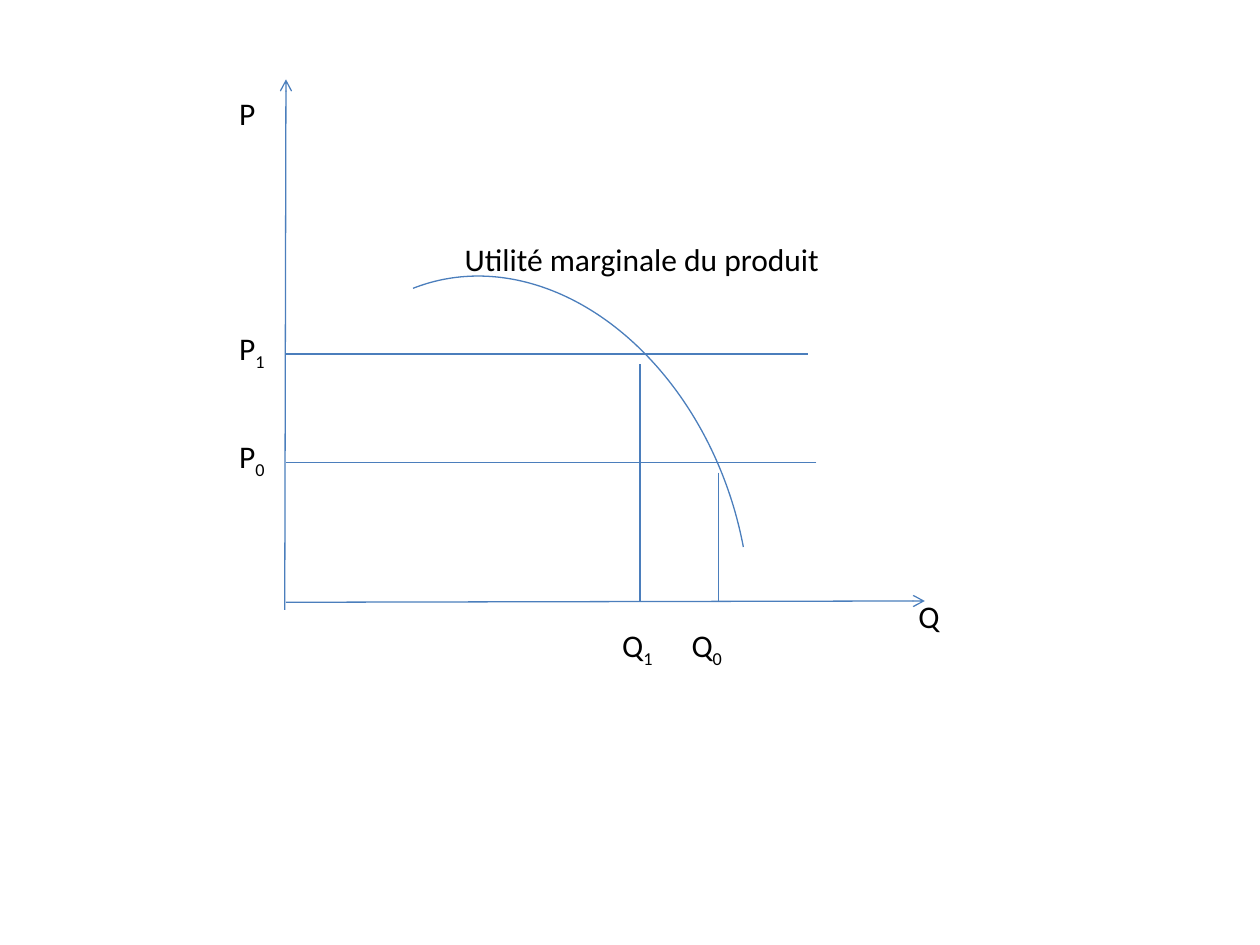
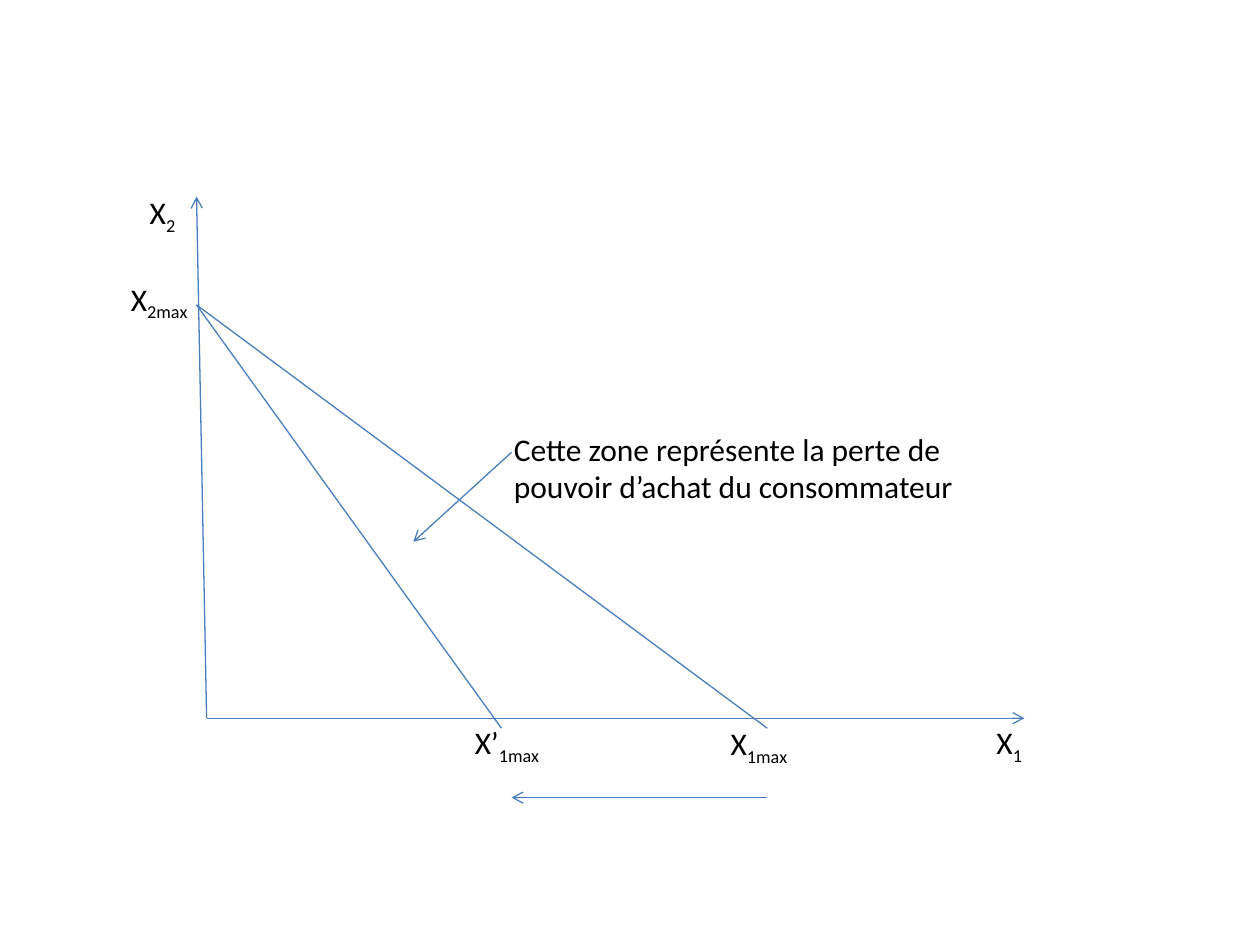
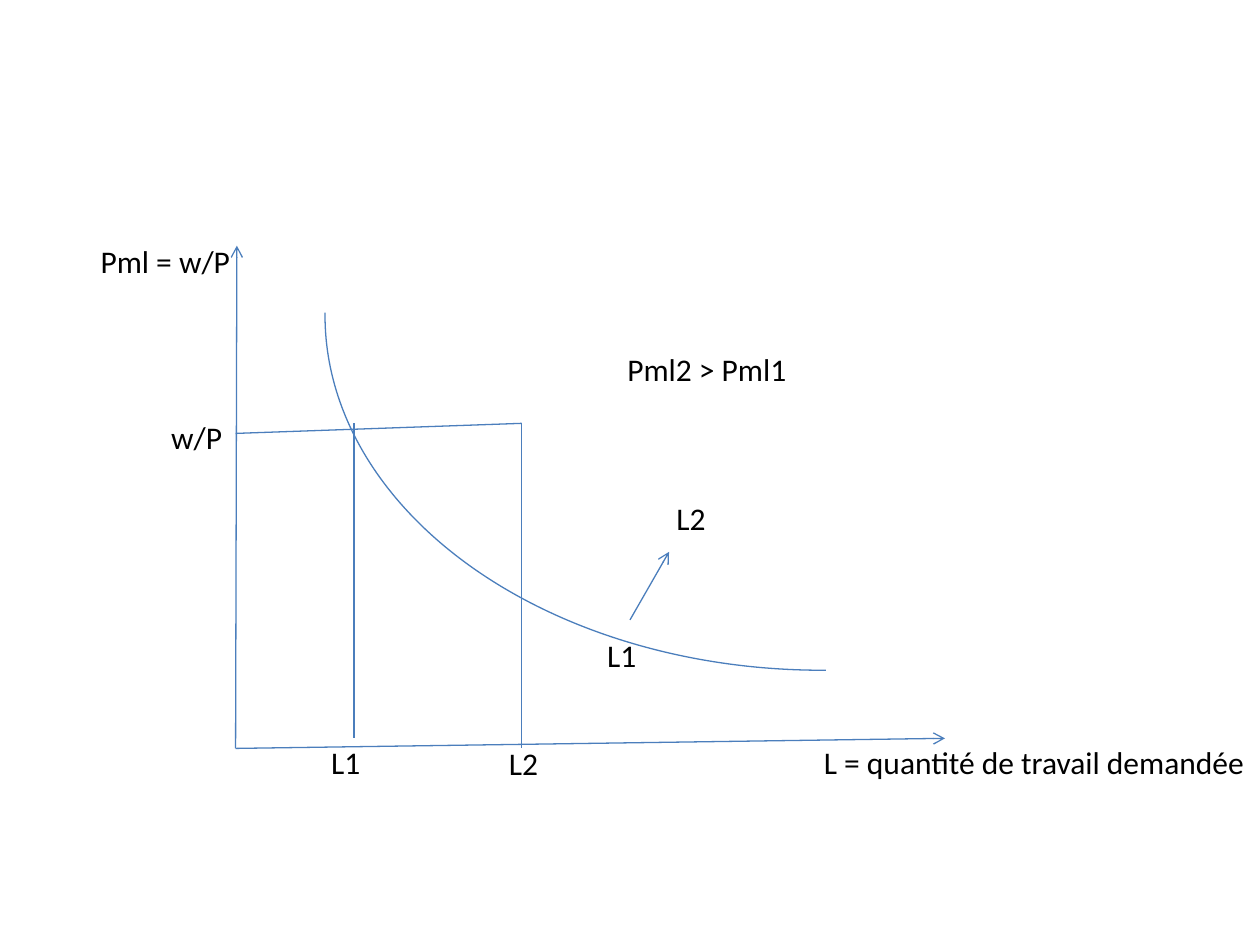
from dataclasses import dataclass

from lxml.etree import SubElement
from pptx import Presentation
from pptx.dml.color import RGBColor
from pptx.enum.shapes import MSO_CONNECTOR, MSO_SHAPE
from pptx.enum.text import MSO_AUTO_SIZE
from pptx.oxml.ns import qn
from pptx.slide import Slide
from pptx.util import Inches, Pt


@dataclass(frozen=True)
class Theme:
    line: RGBColor = RGBColor(0x4B, 0x7E, 0xBC)
    text: RGBColor = RGBColor(0, 0, 0)
    background: RGBColor = RGBColor(0xFF, 0xFF, 0xFF)
    font: str = "Calibri"
    size: Pt = Pt(18)
    line_width: Pt = Pt(0.75)
    subscript: str = "-25000"


THEME = Theme()
LABEL_HEIGHT = 0.4
BLANK_LAYOUT = 6


# Elements of a diagram, with lengths in inches and angles in degrees
@dataclass(frozen=True)
class Segment:
    x1: float
    y1: float
    x2: float
    y2: float
    arrow: bool = False


@dataclass(frozen=True)
class Curve:
    left: float
    top: float
    width: float
    height: float
    start: float
    end: float
    rotation: float = 0


@dataclass(frozen=True)
class Label:
    text: str
    left: float
    top: float
    width: float
    sub: str = ""
    height: float = LABEL_HEIGHT
    wrap: bool = True


@dataclass(frozen=True)
class Diagram:
    segments: list[Segment]
    labels: list[Label]
    curves: list[Curve]


# Drawing
def draw_segment(s: Slide, seg: Segment) -> None:
    c = s.shapes.add_connector(
        MSO_CONNECTOR.STRAIGHT,
        Inches(seg.x1), Inches(seg.y1), Inches(seg.x2), Inches(seg.y2),
    )
    c.line.color.rgb = THEME.line
    c.line.width = THEME.line_width
    sp_pr = c._element.spPr
    if seg.arrow:
        SubElement(sp_pr.find(qn("a:ln")), qn("a:tailEnd"), type="arrow")
    SubElement(sp_pr, qn("a:effectLst"))


def draw_curve(s: Slide, curve: Curve) -> None:
    sp = s.shapes.add_shape(
        MSO_SHAPE.ARC,
        Inches(curve.left), Inches(curve.top),
        Inches(curve.width), Inches(curve.height),
    )
    # Angles are stored in 60000ths of a degree, adjustments in 100000ths
    sp.adjustments[0] = curve.start * 0.6
    sp.adjustments[1] = curve.end * 0.6
    sp.rotation = curve.rotation
    sp.fill.background()
    sp.line.color.rgb = THEME.line
    sp.line.width = THEME.line_width
    sp.shadow.inherit = False


def draw_label(s: Slide, label: Label) -> None:
    sp = s.shapes.add_textbox(
        Inches(label.left), Inches(label.top),
        Inches(label.width), Inches(label.height),
    )
    tf = sp.text_frame
    tf.word_wrap = label.wrap
    tf.auto_size = MSO_AUTO_SIZE.SHAPE_TO_FIT_TEXT
    p = tf.paragraphs[0]
    for text, lowered in ((label.text, False), (label.sub, True)):
        if not text:
            continue
        r = p.add_run()
        r.text = text
        r.font.name = THEME.font
        r.font.size = THEME.size
        r.font.color.rgb = THEME.text
        if lowered:
            r._r.get_or_add_rPr().set("baseline", THEME.subscript)


def draw_diagram(prs: Presentation, diagram: Diagram) -> None:
    s = prs.slides.add_slide(prs.slide_layouts[BLANK_LAYOUT])
    s.background.fill.solid()
    s.background.fill.fore_color.rgb = THEME.background
    for seg in diagram.segments:
        draw_segment(s, seg)
    for curve in diagram.curves:
        draw_curve(s, curve)
    for label in diagram.labels:
        draw_label(s, label)


# Marginal utility: each price meets the curve at a quantity
def marginal_utility() -> Diagram:
    axis_x, axis_y = 2.27, 4.77
    segments = [
        Segment(2.26, 4.84, axis_x, 0.63, arrow=True),
        Segment(axis_x, 4.78, 7.34, axis_y, arrow=True),
    ]
    labels = [
        Label("P", 1.8, 0.7, 0.51),
        Label("Q", 7.19, 4.69, 0.63),
        Label("Utilité marginale du produit", 3.59, 1.86, 3.2),
    ]
    for sub, price_y, price_end, quantity_x, quantity_left in (
        ("1", 2.81, 6.41, 5.08, 4.84),
        ("0", 3.67, 6.48, 5.7, 5.39),
    ):
        segments += [
            Segment(price_end, price_y, axis_x, price_y),
            Segment(quantity_x, price_y + 0.08, quantity_x, axis_y),
        ]
        labels += [
            Label("P", 1.8, price_y - 0.25, 0.51, sub),
            Label("Q", quantity_left, 4.92, 0.63, sub),
        ]
    curve = Curve(2.25, 2.15, 3.65, 4.8, 267.09, 9.98, rotation=343.5)
    return Diagram(segments, labels, [curve])


# Budget lines: a price rise moves the maximum of good 1 to the left
def budget_lines() -> Diagram:
    origin = (1.64, 5.7)
    top_point = (1.56, 2.42)
    new_max, old_max, foot_y = 3.98, 6.09, 5.78
    segments = [
        Segment(*origin, 8.13, 5.7, arrow=True),
        Segment(*origin, 1.56, 1.56, arrow=True),
        Segment(*top_point, new_max, foot_y),
        Segment(*top_point, old_max, foot_y),
        Segment(old_max, 6.33, 4.06, 6.33, arrow=True),
        Segment(4.06, 3.59, 3.28, 4.3, arrow=True),
    ]
    labels = [
        Label(text, left, top, 1.17, sub)
        for text, sub, left, top in (
            ("X", "2max", 0.94, 2.17),
            ("X’", "1max", 3.67, 5.69),
            ("X", "1max", 5.7, 5.7),
            ("X", "2", 1.09, 1.48),
            ("X", "1", 7.81, 5.69),
        )
    ]
    labels.append(Label(
        "Cette zone représente la perte de pouvoir d’achat du consommateur",
        3.98, 3.36, 3.98, height=0.71,
    ))
    return Diagram(segments, labels, [])


# Labour demand: marginal product of labour against the real wage
def labour_demand() -> Diagram:
    origin = (1.87, 5.94)
    l1_x, l2_x, wage_y = 2.81, 4.14, 3.36
    segments = [
        Segment(*origin, 1.88, 1.95, arrow=True),
        Segment(*origin, 7.5, 5.86, arrow=True),
        Segment(1.87, 3.44, l2_x, wage_y),
        Segment(l1_x, wage_y, l1_x, 5.86),
        Segment(l2_x, wage_y, l2_x, 5.94),
        Segment(5, 4.92, 5.31, 4.38, arrow=True),
    ]
    labels = [
        Label(text, left, top, width, wrap=False)
        for text, left, top, width in (
            ("Pml = w/P", 0.7, 1.87, 1.24),
            ("w/P", 1.26, 3.27, 0.62),
            ("L1", 2.53, 5.85, 0.44),
            ("L2", 3.94, 5.86, 0.44),
            ("L1", 4.72, 5, 0.44),
            ("L2", 5.27, 3.91, 0.44),
            ("Pml2 > Pml1", 4.88, 2.73, 1.48),
            ("L = quantité de travail demandée", 6.44, 5.85, 3.58),
        )
    ]
    curve = Curve(2.58, -0.31, 7.89, 5.63, 89.38, 180.34)
    return Diagram(segments, labels, [curve])


def main() -> None:
    prs = Presentation()
    prs.slide_width = Inches(10)
    prs.slide_height = Inches(7.5)
    for diagram in (marginal_utility(), budget_lines(), labour_demand()):
        draw_diagram(prs, diagram)
    prs.save("out.pptx")


if __name__ == "__main__":
    main()
